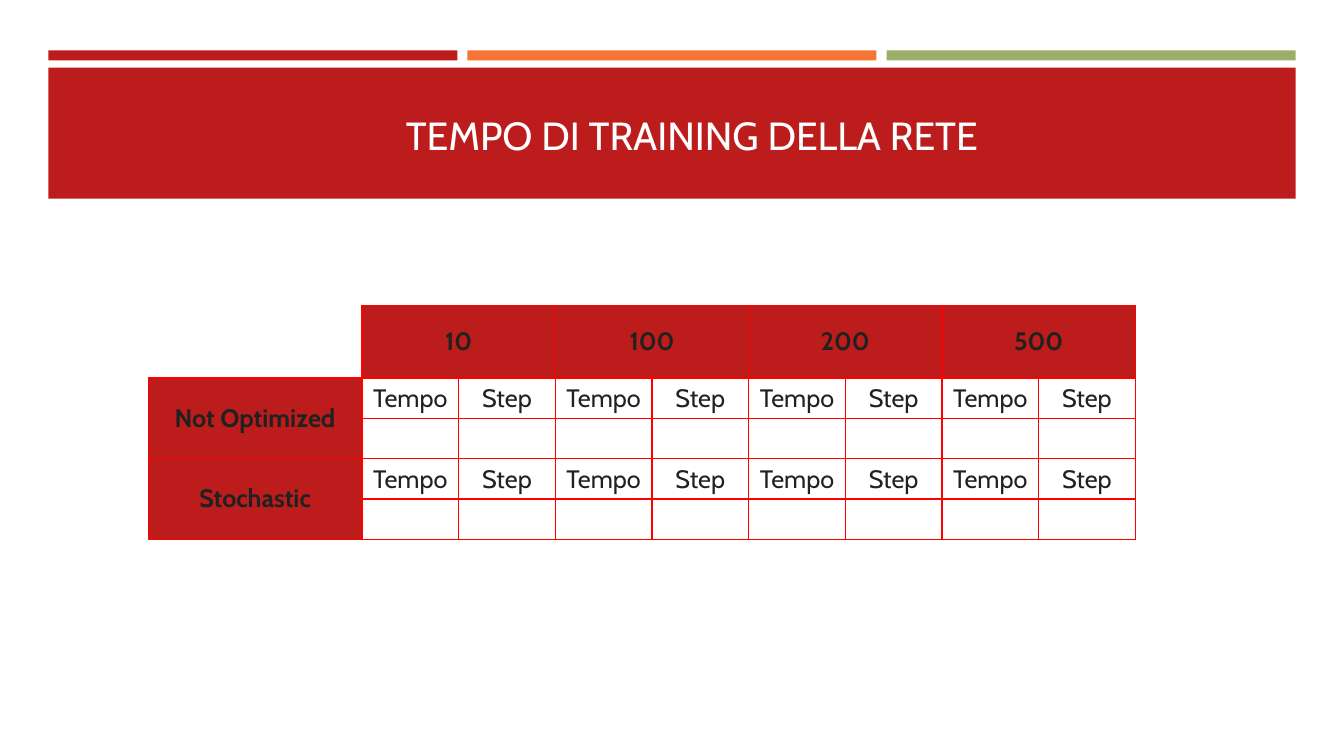
from lxml.etree import SubElement
from pptx import Presentation
from pptx.dml.color import RGBColor
from pptx.enum.shapes import MSO_SHAPE
from pptx.enum.text import MSO_ANCHOR, PP_ALIGN
from pptx.oxml.ns import qn
from pptx.util import Inches, Pt

FONT = "Cabin"
RED, ORANGE, GREEN = "BC1C1C", "F67534", "9BAF68"
INK, WHITE, BORDER = "212121", "FFFFFF", "FF0000"

BAND_LEFT, BAND_WIDTH, STRIPE_GAP = 0.48, 12.37, 0.1
GRID_LEFT, GRID_TOP = 1.47, 3.03
DATA_LEFT, DATA_RIGHT = 3.59, 11.26
HEADER_HEIGHT, BLOCK_HEIGHT = 0.72, 0.8
EPOCHS = ["10", "100", "200", "500"]
METHODS = ["Not Optimized", "Stochastic"]
MEASURES = [["Tempo", "Step"], ["", ""]]


def color(code):
    return RGBColor.from_string(code)


def inches(*lengths):
    return [Inches(length) for length in lengths]


def add_bar(page, place, fill):
    bar = page.shapes.add_shape(MSO_SHAPE.RECTANGLE, *inches(*place))
    bar.shadow.inherit = False
    bar.fill.solid()
    bar.fill.fore_color.rgb = color(fill)
    bar.line.fill.background()


def write(frame, text, size, ink, bold=False):
    para = frame.paragraphs[0]
    para.alignment = PP_ALIGN.CENTER
    para.font.size = Pt(size)
    if text:
        span = para.add_run()
        span.text = text
        span.font.name = FONT
        span.font.size = Pt(size)
        span.font.bold = bold
        span.font.color.rgb = color(ink)


def add_title(page, place, text):
    box = page.shapes.add_textbox(*inches(*place))
    box.text_frame.word_wrap = True
    box.text_frame.vertical_anchor = MSO_ANCHOR.BOTTOM
    write(box.text_frame, text, 28, WHITE)


def outline(cell):
    """Draw a thin border on all four sides of a cell."""
    properties = cell._tc.get_or_add_tcPr()
    for side in ("lnL", "lnR", "lnT", "lnB"):
        line = SubElement(properties, qn(f"a:{side}"), w=str(Pt(1)))
        paint = SubElement(line, qn("a:solidFill"))
        SubElement(paint, qn("a:srgbClr"), val=BORDER)


def add_block(page, place, rows, heading=False):
    """Add a small table of equal cells; a heading is filled and bold."""
    frame = page.shapes.add_table(len(rows), len(rows[0]), *inches(*place))
    table = frame.table
    table.first_row = table.horz_banding = False
    for row, texts in enumerate(rows):
        for column, text in enumerate(texts):
            cell = table.cell(row, column)
            cell.margin_left = cell.margin_right = Inches(0.05)
            outline(cell)
            if heading:
                cell.vertical_anchor = MSO_ANCHOR.MIDDLE
                cell.fill.solid()
                cell.fill.fore_color.rgb = color(RED)
            else:
                cell.fill.background()
            write(cell.text_frame, text, 18, INK, heading)


def add_banner(page):
    stripes = [RED, ORANGE, GREEN]
    width = (BAND_WIDTH - STRIPE_GAP * (len(stripes) - 1)) / len(stripes)
    for index, fill in enumerate(stripes):
        left = BAND_LEFT + index * (width + STRIPE_GAP)
        add_bar(page, (left, 0.5, width, 0.1), fill)
    add_bar(page, (BAND_LEFT, 0.67, BAND_WIDTH, 1.3), RED)
    add_title(page, (2.74, 0.84, 8.33, 0.78), "TEMPO DI TRAINING DELLA RETE ")


def add_training_grid(page):
    width = (DATA_RIGHT - DATA_LEFT) / len(EPOCHS)
    lefts = [DATA_LEFT + index * width for index in range(len(EPOCHS))]
    for left, epoch in zip(lefts, EPOCHS):
        add_block(page, (left, GRID_TOP, width, HEADER_HEIGHT), [[epoch]], True)
    for index, method in enumerate(METHODS):
        top = GRID_TOP + HEADER_HEIGHT + index * BLOCK_HEIGHT
        label = (GRID_LEFT, top, DATA_LEFT - GRID_LEFT, BLOCK_HEIGHT)
        add_block(page, label, [[method]], True)
        for left in lefts:
            add_block(page, (left, top, width, BLOCK_HEIGHT), MEASURES)


def main():
    deck = Presentation()
    deck.slide_width, deck.slide_height = inches(13.33, 7.5)
    page = deck.slides.add_slide(deck.slide_layouts[6])
    add_banner(page)
    add_training_grid(page)
    deck.save("out.pptx")


if __name__ == "__main__":
    main()
